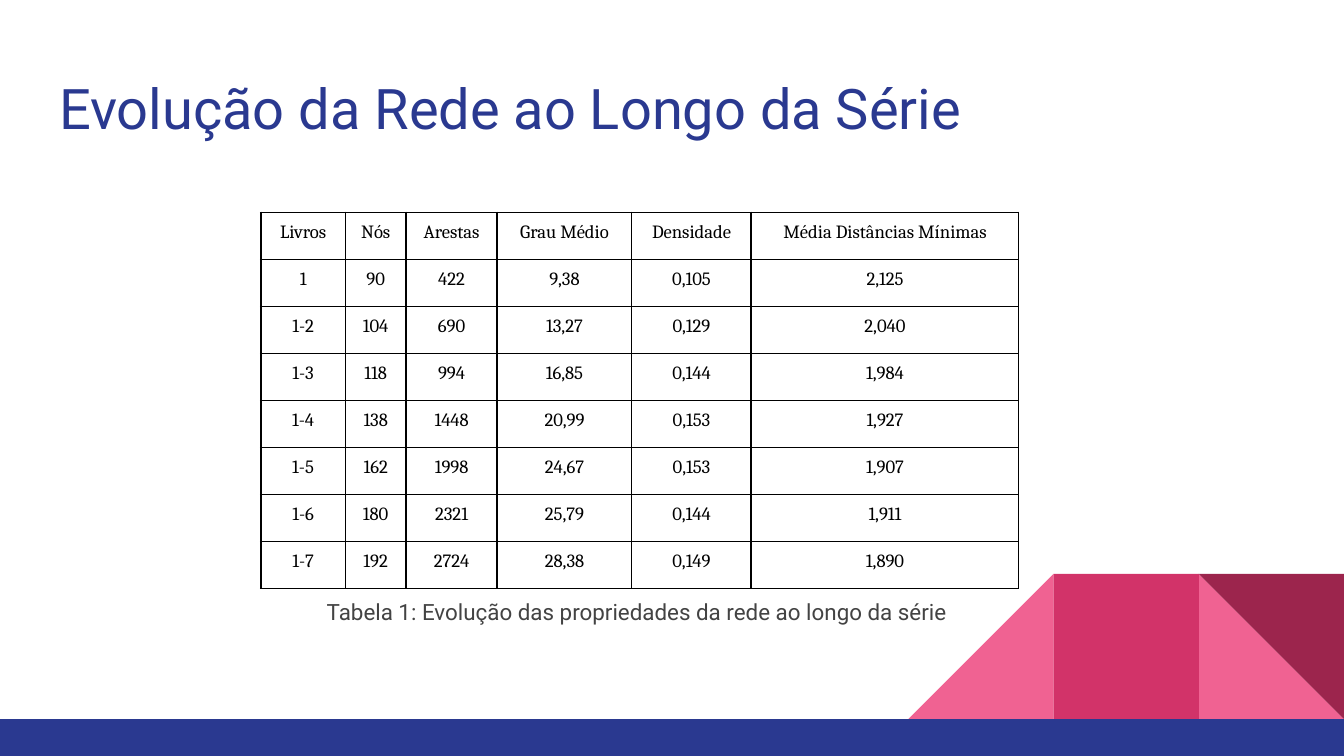
from pptx import Presentation
from pptx.dml.color import RGBColor
from pptx.enum.shapes import MSO_SHAPE
from pptx.enum.text import MSO_ANCHOR, PP_ALIGN
from pptx.oxml.ns import qn
from pptx.util import Inches, Pt
from lxml import etree

TRIANGLE, RECT = MSO_SHAPE.RIGHT_TRIANGLE, MSO_SHAPE.RECTANGLE
LEFT, CENTER = PP_ALIGN.LEFT, PP_ALIGN.CENTER
TOP = MSO_ANCHOR.TOP

COLORS = {
    "navy": "2A3990",
    "pink": "F06292",
    "rose": "D23369",
    "wine": "9C254D",
    "black": "000000",
    "gray": "434343",
}
COLUMN_WIDTHS = [0.63, 0.45, 0.68, 1, 0.89, 1.99]
ROWS = [
    ["Livros", "Nós", "Arestas", "Grau Médio", "Densidade", "Média Distâncias Mínimas"],
    ["1", "90", "422", "9,38", "0,105", "2,125"],
    ["1-2", "104", "690", "13,27", "0,129", "2,040"],
    ["1-3", "118", "994", "16,85", "0,144", "1,984"],
    ["1-4", "138", "1448", "20,99", "0,153", "1,927"],
    ["1-5", "162", "1998", "24,67", "0,153", "1,907"],
    ["1-6", "180", "2321", "25,79", "0,144", "1,911"],
    ["1-7", "192", "2724", "28,38", "0,149", "1,890"],
]


def rgb(name):
    """Return the named palette colour."""
    return RGBColor.from_string(COLORS[name])


def write(tf, text, size, font, color, align, inset=0.1):
    """Write one formatted run into a text frame."""
    tf.margin_left = tf.margin_right = Inches(inset)
    tf.margin_top = tf.margin_bottom = Inches(inset)
    p = tf.paragraphs[0]
    p.alignment = align
    r = p.add_run()
    r.text = text
    r.font.size = Pt(size)
    r.font.name = font
    r.font.color.rgb = rgb(color)


def add_block(s, kind, color, x, y, w, h):
    """Add a flat filled shape without outline."""
    sp = s.shapes.add_shape(kind, Inches(x), Inches(y), Inches(w), Inches(h))
    sp.shadow.inherit = False
    sp.fill.solid()
    sp.fill.fore_color.rgb = rgb(color)
    sp.line.fill.background()
    return sp


def add_footer(s, x, y, w, h, bar=0.28):
    """Draw the bottom bar with the three-tile ornament at its right end."""
    side = h - bar
    right, middle, left = (x + w - n * side for n in (1, 2, 3))
    add_block(s, TRIANGLE, "pink", right, y, side, side)
    mirrored = add_block(s, TRIANGLE, "pink", left, y, side, side)
    mirrored._element.spPr.find(qn("a:xfrm")).set("flipH", "1")
    add_block(s, RECT, "rose", middle, y, side, side)
    add_block(s, TRIANGLE, "wine", right, y, side, side).rotation = 180
    add_block(s, RECT, "navy", x, y + side, w, bar)


def add_title(s, x, y, w, h):
    """Place and fill the title placeholder."""
    sp = s.shapes.title
    sp.left, sp.top, sp.width, sp.height = map(Inches, (x, y, w, h))
    tf = sp.text_frame
    tf.word_wrap = True
    tf.vertical_anchor = TOP
    write(tf, "Evolução da Rede ao Longo da Série", 30, "Roboto", "navy", LEFT)


def add_borders(cell):
    """Give a cell a one-point black line on every side."""
    tcPr = cell._tc.get_or_add_tcPr()
    for side in ("a:lnL", "a:lnR", "a:lnT", "a:lnB"):
        ln = etree.SubElement(tcPr, qn(side), w=str(Pt(1)))
        fill = etree.SubElement(ln, qn("a:solidFill"))
        etree.SubElement(fill, qn("a:srgbClr"), val=COLORS["black"])


def add_network_table(s, x, y, w, h):
    """Add the table of network properties per book range."""
    table = s.shapes.add_table(
        len(ROWS), len(COLUMN_WIDTHS), Inches(x), Inches(y), Inches(w), Inches(h)
    ).table
    table.first_row = table.horz_banding = False
    for column, width in zip(table.columns, COLUMN_WIDTHS):
        column.width = Inches(width)
    for i, values in enumerate(ROWS):
        table.rows[i].height = Inches(h / len(ROWS))
        for j, value in enumerate(values):
            cell = table.cell(i, j)
            add_borders(cell)
            cell.fill.background()
            cell.margin_left = cell.margin_right = Inches(0.07)
            cell.margin_top = cell.margin_bottom = Inches(0.07)
            write(cell.text_frame, value, 10, "Cambria", "black", CENTER, 0.07)


def add_caption(s, x, y, w, h):
    """Add the centred caption under the table."""
    tf = s.shapes.add_textbox(Inches(x), Inches(y), Inches(w), Inches(h)).text_frame
    tf.word_wrap = True
    text = "Tabela 1: Evolução das propriedades da rede ao longo da série "
    write(tf, text, 12, "Roboto", "gray", CENTER)


def main():
    """Build the slide and save it."""
    prs = Presentation()
    prs.slide_width = Inches(10)
    prs.slide_height = prs.slide_width * 9 // 16
    s = prs.slides.add_slide(prs.slide_layouts[5])
    add_footer(s, 0, 4.27, 10, 1.36)
    add_title(s, 0.34, 0.45, 9.32, 0.66)
    add_network_table(s, 1.94, 1.58, 5.64, 2.8)
    add_caption(s, 1.94, 4.35, 5.64, 0.51)
    prs.save("out.pptx")


if __name__ == "__main__":
    main()
